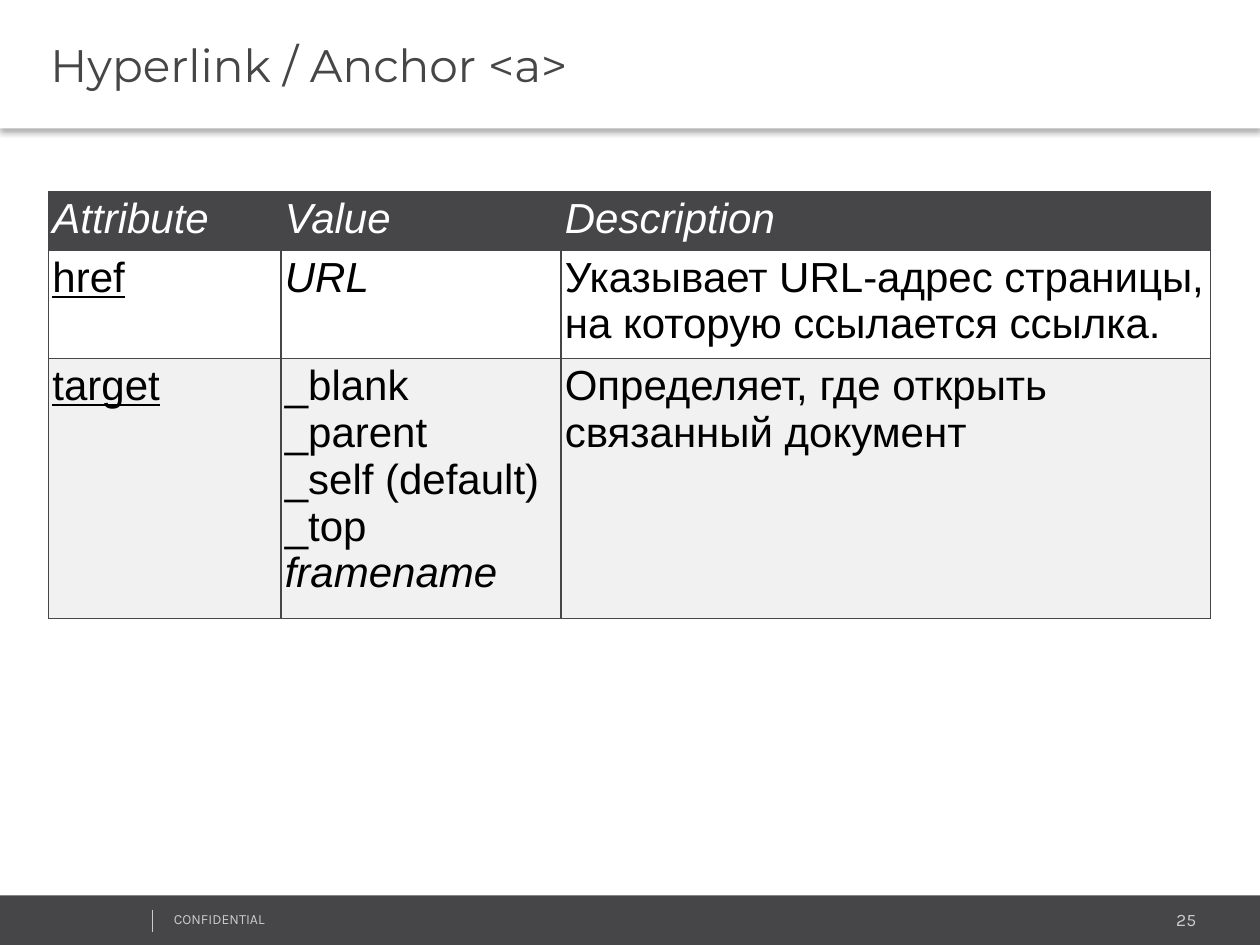
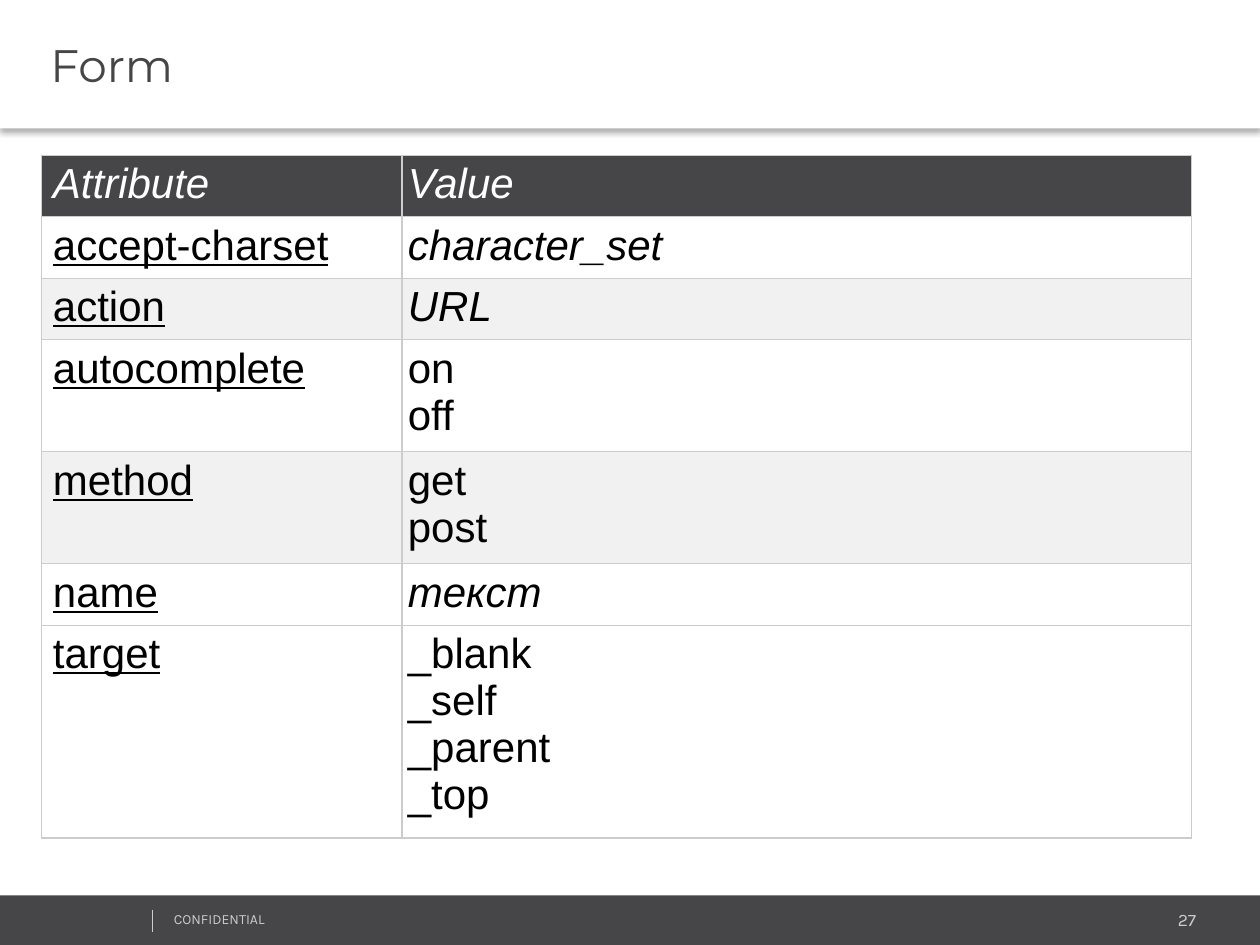
from lxml import etree
from pptx import Presentation
from pptx.dml.color import RGBColor
from pptx.enum.shapes import MSO_CONNECTOR, MSO_SHAPE
from pptx.enum.text import MSO_ANCHOR, MSO_AUTO_SIZE, PP_ALIGN
from pptx.oxml import parse_xml
from pptx.oxml.ns import nsdecls, qn
from pptx.util import Pt

STRAIGHT = MSO_CONNECTOR.STRAIGHT
RECTANGLE = MSO_SHAPE.RECTANGLE
MIDDLE = MSO_ANCHOR.MIDDLE
NO_FIT = MSO_AUTO_SIZE.NONE
LEFT = PP_ALIGN.LEFT
RIGHT = PP_ALIGN.RIGHT

COLORS = {
    "dark": "464547",
    "white": "FFFFFF",
    "stripe": "F1F1F1",
    "rule": "CCCCCC",
    "black": "000000",
}
TITLE_ONLY = 5

SLIDES = [
    {
        "title": "Hyperlink / Anchor <a>",
        "number": "25",
        "left": 27.8,
        "top": 109.8,
        "columns": [132.8, 160, 371],
        "heights": [31.2, 57.4, 138.4],
        "insets": (2.2, 2.2),
        "first_inset": 2.2,
        "border": ("dark", 1),
        "fills": ["dark", "white", "stripe"],
        "rows": [
            [[("Attribute", "i")], [("Value", "i")], [("Description", "i")]],
            [[("href", "u")], [("URL", "i")],
             [("Указывает URL-адрес страницы, на которую ссылается ссылка.", "")]],
            [[("target", "u")],
             [("_blank", ""), ("_parent", ""), ("_self (default)", ""),
              ("_top", ""), ("framename", "i")],
             [("Определяет, где открыть связанный документ", "")]],
        ],
    },
    {
        "title": "Form",
        "number": "27",
        "left": 23.7,
        "top": 88.6,
        "columns": [206, 451.4],
        "heights": [33.2, 34.6, 34.6, 60.2, 60.2, 33.4, 113.6],
        "insets": (3.4, 3.2),
        "first_inset": 6.6,
        "border": ("rule", 0.75),
        "fills": ["dark", "white", "stripe", "white", "stripe", "white", "white"],
        "rows": [
            [[("Attribute", "i")], [("Value", "i")]],
            [[("accept-charset", "u")], [("character_set", "i")]],
            [[("action", "u")], [("URL", "i")]],
            [[("autocomplete", "u")], [("on", ""), ("off", "")]],
            [[("method", "u")], [("get", ""), ("post", "")]],
            [[("name", "u")], [("текст", "i")]],
            [[("target", "u")],
             [("_blank", ""), ("_self", ""), ("_parent", ""), ("_top", "")]],
        ],
    },
]


def add_span(para, text, font_name, size, color):
    span = para.add_run()
    span.text = text
    span.font.name = font_name
    span.font.size = Pt(size)
    span.font.color.rgb = RGBColor.from_string(COLORS[color])
    return span


def add_borders(cell, color, width):
    properties = cell._tc.get_or_add_tcPr()
    for side in ("lnL", "lnR", "lnT", "lnB"):
        properties.append(parse_xml(
            f'<a:{side} {nsdecls("a")} w="{int(Pt(width))}"><a:solidFill>'
            f'<a:srgbClr val="{COLORS[color]}"/></a:solidFill></a:{side}>'))


deck = Presentation()
deck.slide_width = Pt(720)
deck.slide_height = Pt(540)

for content in SLIDES:
    page = deck.slides.add_slide(deck.slide_layouts[TITLE_ONLY])

    title = page.shapes.title
    title.left, title.top, title.width, title.height = Pt(0), Pt(0), Pt(720), Pt(73.4)
    title.fill.solid()
    title.fill.fore_color.rgb = RGBColor.from_string(COLORS["white"])
    title._element.spPr.append(parse_xml(
        f'<a:effectLst {nsdecls("a")}><a:outerShdw blurRad="{int(Pt(3.1))}" '
        f'dist="{int(Pt(2))}" dir="5400000" algn="t" rotWithShape="0">'
        f'<a:srgbClr val="{COLORS["black"]}"><a:alpha val="30000"/></a:srgbClr>'
        '</a:outerShdw></a:effectLst>'))
    frame = title.text_frame
    frame.auto_size = NO_FIT
    frame.vertical_anchor = MIDDLE
    frame.margin_left = Pt(28.8)
    para = frame.paragraphs[0]
    para.alignment = LEFT
    add_span(para, content["title"], "Montserrat", 26, "dark")

    band = page.shapes.add_shape(RECTANGLE, Pt(0), Pt(511.7), Pt(720), Pt(28.3))
    band.shadow.inherit = False
    band.fill.solid()
    band.fill.fore_color.rgb = RGBColor.from_string(COLORS["dark"])
    band.line.fill.background()

    for text, size, alignment, left, top, width, height in (
        (content["number"], 10, RIGHT, 573.2, 516.2, 117.4, 19.4),
        ("CONFIDENTIAL", 8, LEFT, 92.2, 517, 182, 17.3),
    ):
        box = page.shapes.add_textbox(Pt(left), Pt(top), Pt(width), Pt(height))
        box.text_frame.word_wrap = True
        para = box.text_frame.paragraphs[0]
        para.alignment = alignment
        add_span(para, text, "Karla", size, "rule")

    divider = page.shapes.add_connector(STRAIGHT, Pt(87.1), Pt(519.8), Pt(87.1), Pt(532.8))
    divider.line.color.rgb = RGBColor.from_string(COLORS["rule"])
    divider.line.width = Pt(0.75)
    etree.SubElement(divider._element.spPr, qn("a:effectLst"))

    rows, columns, heights = content["rows"], content["columns"], content["heights"]
    table = page.shapes.add_table(
        len(rows), len(columns), Pt(content["left"]), Pt(content["top"]),
        Pt(sum(columns)), Pt(sum(heights))).table
    table.first_row = False
    table.horz_banding = False
    for column, width in zip(table.columns, columns):
        column.width = Pt(width)
    side_inset, vertical_inset = content["insets"]

    for row_index, row in enumerate(rows):
        table.rows[row_index].height = Pt(heights[row_index])
        text_color = "black" if row_index else "white"
        for column_index, lines in enumerate(row):
            cell = table.cell(row_index, column_index)
            cell.margin_left = Pt(side_inset if column_index else content["first_inset"])
            cell.margin_right = Pt(side_inset)
            cell.margin_top = cell.margin_bottom = Pt(vertical_inset)
            add_borders(cell, *content["border"])
            cell.fill.solid()
            cell.fill.fore_color.rgb = RGBColor.from_string(COLORS[content["fills"][row_index]])
            para = cell.text_frame.paragraphs[0]
            for line_index, (text, style) in enumerate(lines):
                if line_index:
                    para.add_line_break()
                span = add_span(para, text, "Arial", 24, text_color)
                span.font.italic = style == "i"
                span.font.underline = style == "u"
            for line_break in para._p.findall(qn("a:br")):
                etree.SubElement(line_break, qn("a:rPr"), sz="2400")

deck.save("out.pptx")
